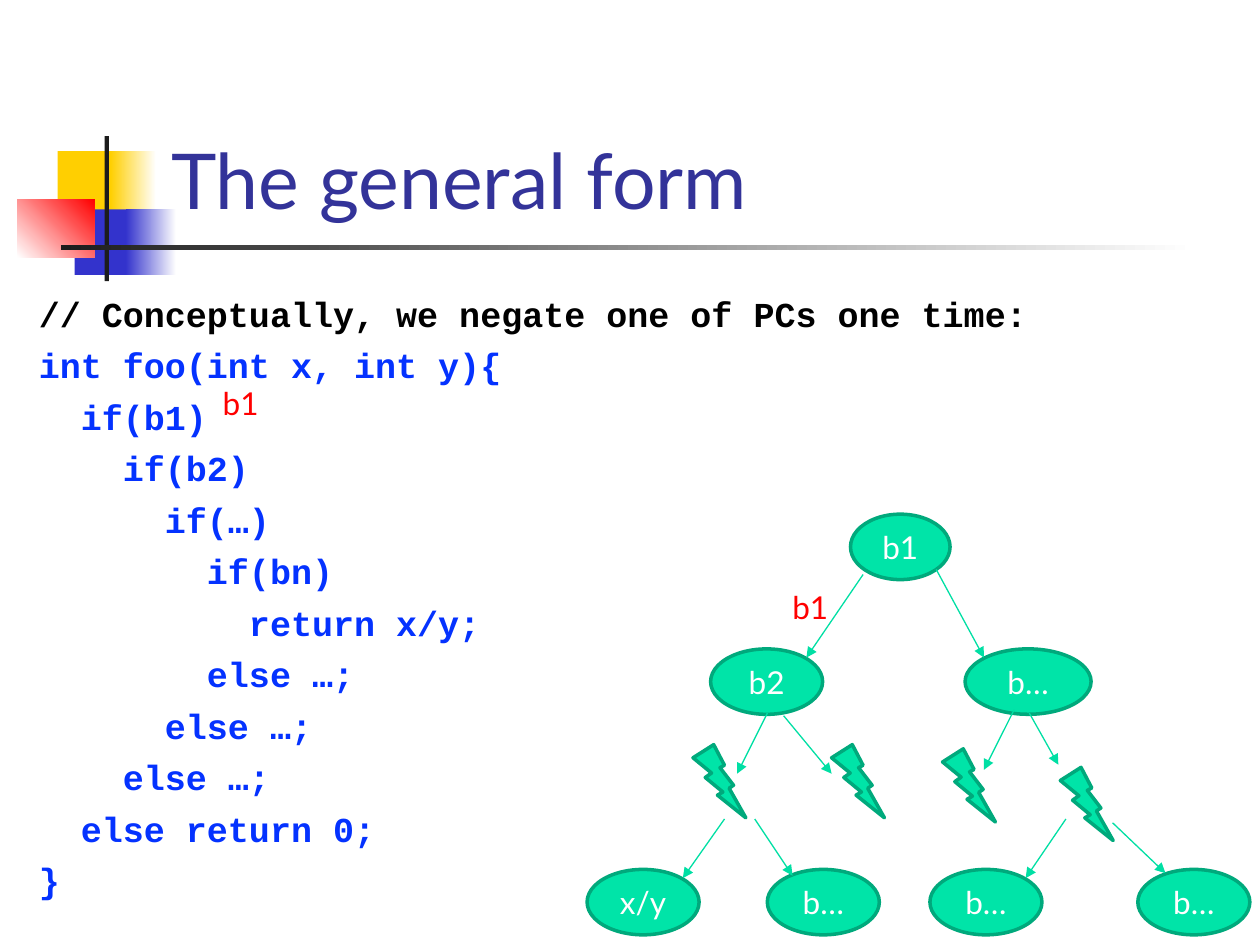
from lxml import etree
from pptx import Presentation
from pptx import util as u
from pptx.dml import color as col
from pptx.enum import shapes as sh, text as tx
from pptx.oxml import ns

HUES = {
    "gold": "FFCF01", "blue": "3333CC", "red": "FF0000", "ink": "1C1C1C",
    "white": "FFFFFF", "black": "000000", "title": "333399", "code": "0432FF",
    "mint": "00E4A8", "edge": "00A97C", "link": "00DFA4",
}
KIND = sh.MSO_SHAPE
TITLE = {"size": u.Pt(44), "name": "Lato"}
CODE = {"size": u.Pt(20), "name": "Courier New", "bold": True}
LABEL = {"size": u.Pt(18), "name": "Lato"}


def rgb(hue):
    return col.RGBColor.from_string(HUES[hue])


def pts(*nums):
    return [u.Pt(n) for n in nums]


class Deck:
    """Holds the current slide and draws each kind of element, in points."""

    def __init__(self, page):
        self.page = page

    def style(self, para, font, hue):
        for key, val in font.items():
            setattr(para.font, key, val)
        para.font.color.rgb = rgb(hue)

    def shape(self, kind, box, fill, edge=None):
        item = self.page.shapes.add_shape(kind, *pts(*box))
        item.shadow.inherit = False
        item.fill.solid()
        item.fill.fore_color.rgb = rgb(fill)
        if edge:
            item.line.color.rgb = rgb(edge)
            item.line.width = u.Pt(2)
        else:
            item.line.fill.background()
        return item

    def fade(self, box, first, last, angle=0):
        item = self.shape(KIND.RECTANGLE, box, first)
        item.fill.gradient()
        item.fill.gradient_angle = angle
        for stop, hue in zip(item.fill.gradient_stops, (first, last)):
            stop.color.rgb = rgb(hue)

    def text(self, box, lines, font, anchor=tx.MSO_ANCHOR.TOP, gap=0):
        """Write (words, hue) lines, with gap points between them."""
        frame = self.page.shapes.add_textbox(*pts(*box)).text_frame
        frame.word_wrap = True
        frame.vertical_anchor = anchor
        for num, (words, hue) in enumerate(lines):
            para = frame.add_paragraph() if num else frame.paragraphs[0]
            para.text = words
            if num and gap:
                para.space_before = u.Pt(gap)
            self.style(para, font, hue)

    def node(self, left, top, width, words):
        item = self.shape(KIND.OVAL, (left, top, width, 37.4), "mint", "edge")
        frame = item.text_frame
        frame.word_wrap = False
        frame.vertical_anchor = tx.MSO_ANCHOR.MIDDLE
        para = frame.paragraphs[0]
        para.text = words
        para.alignment = tx.PP_ALIGN.CENTER
        self.style(para, LABEL, "white")

    def bolt(self, left, top):
        self.shape(KIND.LIGHTNING_BOLT, (left, top, 30.2, 41.8), "mint", "edge")

    def arrow(self, *ends):
        item = self.page.shapes.add_connector(sh.MSO_CONNECTOR.STRAIGHT, *pts(*ends))
        item.line.color.rgb = rgb("link")
        item.line.width = u.Pt(0.75)
        etree.SubElement(item.line._get_or_add_ln(), ns.qn("a:tailEnd"), type="triangle")
        etree.SubElement(item._element.spPr, ns.qn("a:effectLst"))


def frame(deck):
    deck.shape(KIND.RECTANGLE, (33, 86.4, 34.6, 37.4), "gold")
    deck.fade((63.2, 86.4, 26, 37.4), "gold", "white")
    deck.shape(KIND.RECTANGLE, (42.6, 119.7, 33.2, 37.4), "blue")
    deck.fade((72, 119.7, 28.6, 37.4), "blue", "white")
    deck.fade((10, 113.8, 44, 33.4), "white", "red", 45)
    deck.shape(KIND.RECTANGLE, (59.8, 77.8, 2.4, 82.8), "ink")
    deck.fade((34.8, 140.2, 648, 2.4), "ink", "white")
    deck.text((90.7, 16.6, 613.4, 115.2), [("The general form", "title")],
              TITLE, tx.MSO_ANCHOR.BOTTOM)


def code(deck):
    lines = [
        "int foo(int x, int y){",
        "  if(b1)",
        "    if(b2)",
        "      if(…)",
        "        if(bn)",
        "          return x/y;",
        "        else …;",
        "      else …;",
        "    else …;",
        "  else return 0;",
        "}",
    ]
    head = ("// Conceptually, we negate one of PCs one time:", "black")
    deck.text((15.1, 163.4, 612, 324), [head] + [(line, "code") for line in lines],
              CODE, gap=5.4)
    deck.text((120.2, 216, 198, 28.8), [("b1", "red")], LABEL)


def tree(deck):
    deck.node(486, 293.8, 56.9, "b1")
    deck.node(406.1, 370.8, 64, "b2")
    deck.node(551.5, 370.8, 72, "b…")
    for left, words in ((335.5, "x/y"), (438.5, "b…"), (531.4, "b…"), (650.2, "b…")):
        deck.node(left, 496.8, 64, words)
    for spot in ((396, 425.5), (475.2, 425.5), (538.6, 427.9), (605.9, 438.5)):
        deck.bolt(*spot)
    for ends in (
        (493.2, 328.3, 460.8, 375.8), (535, 325.4, 562.3, 375.8),
        (438.5, 407.5, 421.2, 442.1), (447.8, 409, 475.2, 442.1),
        (579.6, 405.4, 562.3, 439.9), (588.2, 407.5, 604.8, 437),
        (414, 468, 390.2, 501.8), (431.3, 468, 452.9, 500.4),
        (609.1, 468, 586.1, 501.8), (635.8, 470.2, 666, 499),
    ):
        deck.arrow(*ends)
    deck.text((445.7, 332.6, 64, 28.8), [("b1", "red")], LABEL)


def main():
    show = Presentation()
    show.slide_width, show.slide_height = pts(720, 540)
    deck = Deck(show.slides.add_slide(show.slide_layouts[6]))
    frame(deck)
    code(deck)
    tree(deck)
    show.save("out.pptx")


if __name__ == "__main__":
    main()
